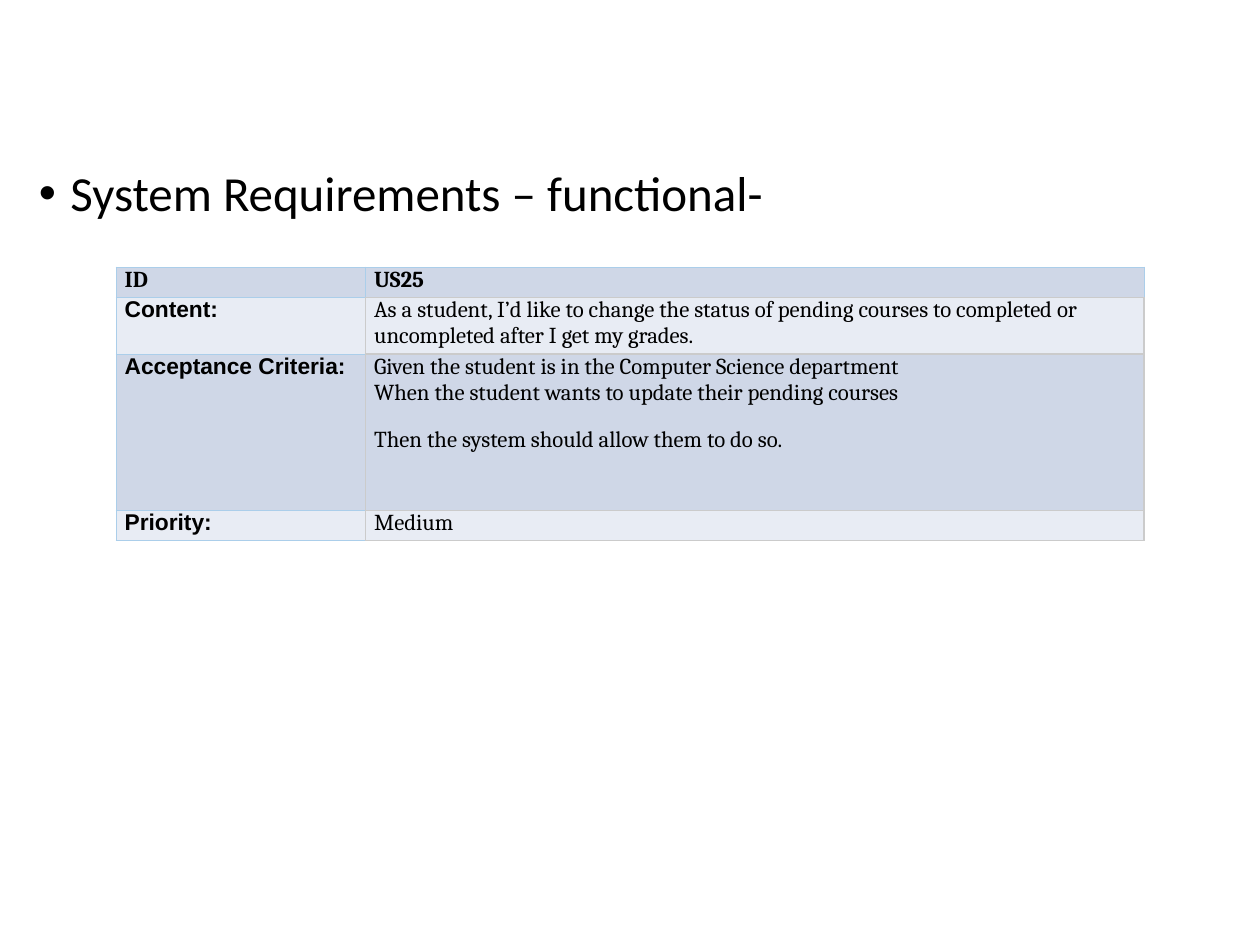
from lxml import etree
from pptx import Presentation
from pptx.dml.color import RGBColor
from pptx.enum.text import MSO_ANCHOR
from pptx.oxml.ns import qn
from pptx.util import Inches, Pt

TOP = MSO_ANCHOR.TOP
BLUE_LINE = ("ABCEEA", 0.5)
GREY_LINE = ("CBCBCB", 1)
BANDS = ("CFD7E7", "E8ECF4")
COLUMN_WIDTHS = (1.98, 6.18)
ROW_HEIGHTS = (0.24, 0.45, 1.24, 0.24)
REQUIREMENT = [
    ("ID", ["US25"]),
    ("Content:", ["As a student, I’d like to change the status of pending courses "
                  "to completed or uncompleted after I get my grades."]),
    ("Acceptance Criteria:", ["Given the student is in the Computer Science department\v"
                              "When the student wants to update their pending courses",
                              "Then the system should allow them to do so."]),
    ("Priority:", ["Medium"]),
]


def rgb(value):
    """Return the colour for a hex string."""
    return RGBColor.from_string(value)


class RequirementSlide:
    """Hold the text style and the current slide."""

    text_color = "000000"
    cell_size = 13
    paragraph_gap = 12

    def __init__(self, presentation):
        """Add a blank slide to the presentation."""
        self.slide = presentation.slides.add_slide(presentation.slide_layouts[6])

    def apply(self, target, values):
        """Set each attribute named in a dict of format values."""
        for name, value in values.items():
            setattr(target, name, value)

    def style(self, paragraph, font_name, size, bold=False):
        """Set the font of a paragraph."""
        self.apply(paragraph.font, {"name": font_name, "size": Pt(size), "bold": bold})
        paragraph.font.color.rgb = rgb(self.text_color)

    def bullet_heading(self, text, left, top, width, height):
        """Add a text box with one bulleted line."""
        frame = self.slide.shapes.add_textbox(
            Inches(left), Inches(top), Inches(width), Inches(height)).text_frame
        margins = ("margin_left", "margin_top", "margin_right", "margin_bottom")
        self.apply(frame, {"word_wrap": True, **dict.fromkeys(margins, Inches(0.05))})
        heading = frame.paragraphs[0]
        heading.text = text
        heading.line_spacing = 0.9
        properties = heading._p.get_or_add_pPr()
        properties.set("marL", str(Inches(0.25)))
        properties.set("indent", str(Inches(-0.25)))
        etree.SubElement(properties, qn("a:buFont"), typeface="Arial")
        etree.SubElement(properties, qn("a:buChar"), char="•")
        self.style(heading, "Calibri", 28)

    def borders(self, cell, left, right, top, bottom):
        """Draw the four sides of a cell from colour and width pairs."""
        properties = cell._tc.get_or_add_tcPr()
        sides = {"L": left, "R": right, "T": top, "B": bottom}
        for side, (color, width) in sides.items():
            line = etree.SubElement(properties, qn("a:ln" + side), w=str(Pt(width)))
            fill = etree.SubElement(line, qn("a:solidFill"))
            etree.SubElement(fill, qn("a:srgbClr"), val=color)

    def fill_cell(self, cell, lines, font_name, bold, band):
        """Write the paragraphs of a cell and colour it."""
        self.apply(cell, {"margin_left": Inches(0.07), "margin_right": Inches(0.07),
                          "margin_top": 0, "margin_bottom": 0, "vertical_anchor": TOP})
        cell.text = "\n".join(lines)
        for index, paragraph in enumerate(cell.text_frame.paragraphs):
            if index:
                paragraph.space_before = Pt(self.paragraph_gap)
            self.style(paragraph, font_name, self.cell_size, bold)
        cell.fill.solid()
        cell.fill.fore_color.rgb = rgb(band)

    def requirement_table(self, entries, left, top):
        """Add the two-column table of one requirement."""
        table = self.slide.shapes.add_table(
            len(entries), len(COLUMN_WIDTHS), Inches(left), Inches(top),
            Inches(sum(COLUMN_WIDTHS)), Inches(sum(ROW_HEIGHTS))).table
        self.apply(table, {"first_row": False, "horz_banding": False})
        for column, width in zip(table.columns, COLUMN_WIDTHS):
            column.width = Inches(width)
        for index, (label, lines) in enumerate(entries):
            table.rows[index].height = Inches(ROW_HEIGHTS[index])
            is_header = index == 0
            band = BANDS[index % 2]
            label_cell, value_cell = table.cell(index, 0), table.cell(index, 1)
            divider = BLUE_LINE if is_header else GREY_LINE
            self.borders(label_cell, BLUE_LINE, divider, BLUE_LINE, BLUE_LINE)
            self.borders(value_cell, divider, divider, divider, GREY_LINE)
            self.fill_cell(label_cell, [label], "Cambria" if is_header else "Arial", True, band)
            self.fill_cell(value_cell, lines, "Cambria", is_header, band)


def main():
    """Build and save the slide."""
    presentation = Presentation()
    presentation.slide_width = Inches(10)
    presentation.slide_height = Inches(7.5)
    slide = RequirementSlide(presentation)
    slide.bullet_heading("System Requirements – functional-", 0.26, 1.29, 9, 5.75)
    slide.requirement_table(REQUIREMENT, 0.92, 2.12)
    presentation.save("out.pptx")


if __name__ == "__main__":
    main()
